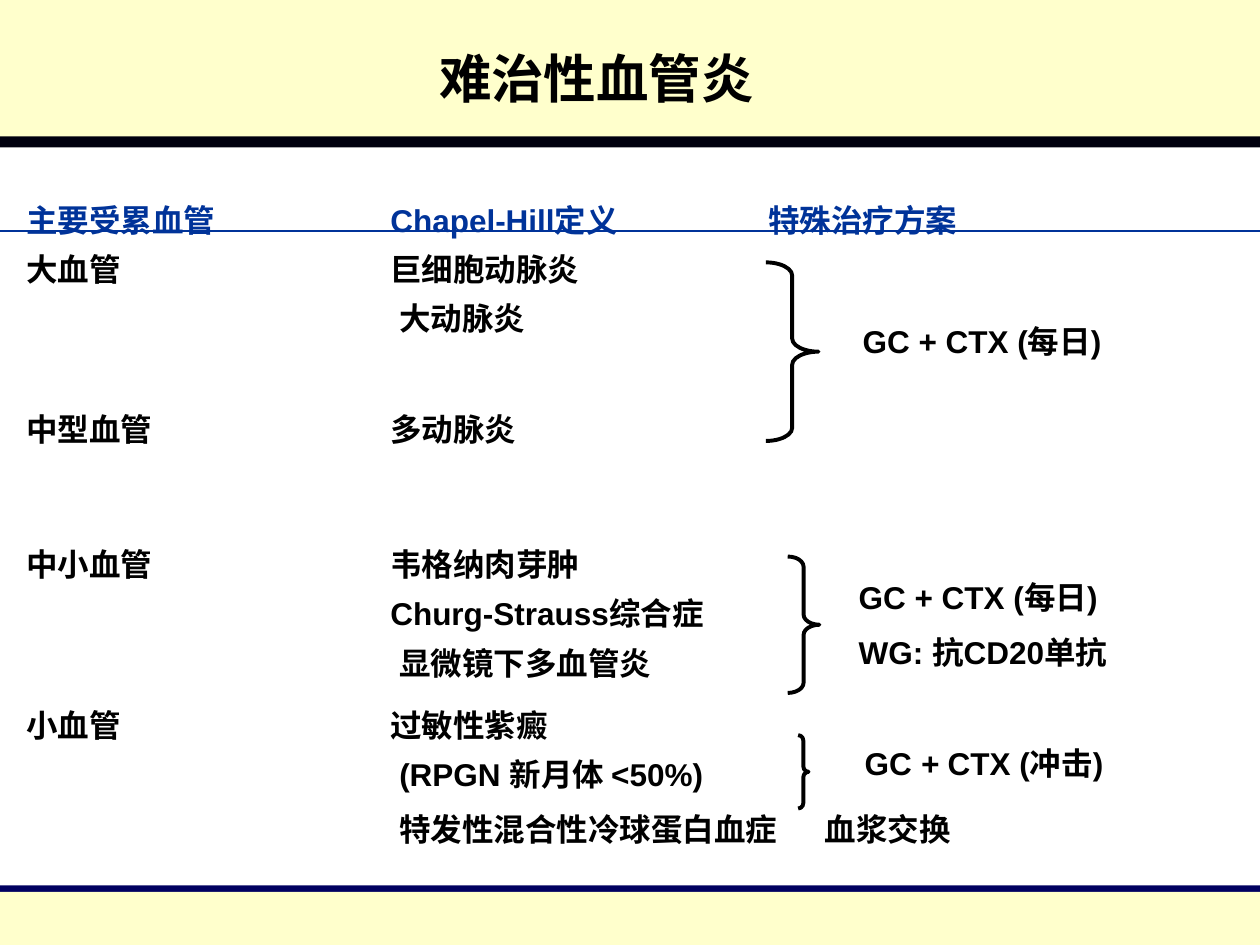
from lxml import etree
from pptx import Presentation
from pptx.dml.color import RGBColor
from pptx.enum.shapes import MSO_CONNECTOR, MSO_SHAPE
from pptx.enum.text import MSO_ANCHOR, PP_ALIGN
from pptx.oxml.ns import qn
from pptx.util import Cm, Pt

RECTANGLE = MSO_SHAPE.RECTANGLE
RIGHT_BRACE = MSO_SHAPE.RIGHT_BRACE
STRAIGHT = MSO_CONNECTOR.STRAIGHT
TOP, MIDDLE = MSO_ANCHOR.TOP, MSO_ANCHOR.MIDDLE
LEFT, CENTER = PP_ALIGN.LEFT, PP_ALIGN.CENTER

BLACK = RGBColor(0x00, 0x00, 0x00)
NAVY = RGBColor(0x00, 0x00, 0x66)
BLUE = RGBColor(0x00, 0x33, 0x99)
CREAM = RGBColor(0xFF, 0xFF, 0xCC)
WHITE = RGBColor(0xFF, 0xFF, 0xFF)


def add_span(para, text, color=BLACK, size=18, italic=False):
    span = para.add_run()
    span.text = text
    span.font.name = "Arial"
    span.font.size = Pt(size)
    span.font.bold = True
    span.font.italic = italic
    span.font.color.rgb = color


def add_band(page, top, height, color):
    band = page.shapes.add_shape(RECTANGLE, 0, Cm(top), Cm(25.4), Cm(height))
    band.shadow.inherit = False
    band.fill.solid()
    band.fill.fore_color.rgb = color
    band.line.fill.background()
    return band


deck = Presentation()
deck.slide_width, deck.slide_height = Cm(25.4), Cm(19.05)
page = deck.slides.add_slide(deck.slide_layouts[5])

backdrop = page.background.fill
backdrop.gradient()
backdrop.gradient_angle = 270
for stop, color, position in zip(backdrop.gradient_stops, (BLACK, NAVY), (0, 1)):
    stop.color.rgb = color
    stop.position = position

add_band(page, 17.98, 1.07, CREAM)
add_band(page, 0, 2.75, CREAM)

title = page.shapes.title
page.shapes._spTree.append(title._element)
title.left, title.top, title.width, title.height = Cm(2.5), Cm(0.95), Cm(19.05), Cm(1.22)
title.text_frame.vertical_anchor = MIDDLE
title.text_frame.paragraphs[0].alignment = CENTER
add_span(title.text_frame.paragraphs[0], "难治性血管炎", size=30)

body = add_band(page, 2.97, 14.88, WHITE).text_frame
body.word_wrap = True
body.vertical_anchor = TOP
body.margin_left, body.margin_top = Cm(0.53), Cm(1.13)
body.margin_right = 0

COLUMN, INDENTED = 7.34, 7.52
rows = [
    ("主要受累血管\tChapel-Hill定义\t特殊治疗方案", COLUMN, 14.96, 0),
    ("大血管\t巨细胞动脉炎", COLUMN, 14.96, 8),
    ("\t大动脉炎", INDENTED, 14.96, 8),
    ("中型血管\t多动脉炎", COLUMN, 14.96, 43.5),
    ("中小血管\t韦格纳肉芽肿", COLUMN, 14.96, 57.5),
    ("\tChurg-Strauss综合症", COLUMN, 14.96, 8),
    ("\t显微镜下多血管炎", INDENTED, 14.96, 8.5),
    ("小血管\t过敏性紫癜", COLUMN, 14.96, 15),
    ("\t(RPGN 新月体 <50%)", INDENTED, 14.96, 8.5),
    ("\t特发性混合性冷球蛋白血症\t血浆交换", INDENTED, 16.1, 11),
]
for index, (text, second, third, gap) in enumerate(rows):
    para = body.add_paragraph() if index else body.paragraphs[0]
    tabs = etree.SubElement(para._p.get_or_add_pPr(), qn("a:tabLst"))
    for stop in (second, third):
        etree.SubElement(tabs, qn("a:tab"), pos=str(Cm(stop)), algn="l")
    para.alignment = LEFT
    para.line_spacing = Pt(20)
    para.space_before = Pt(gap)
    add_span(para, text, color=BLACK if index else BLUE)

braces = [
    (15.44, 5.29, 1.06, 3.6, 0.25),
    (15.88, 11.22, 0.64, 2.75, 0.32),
    (16.09, 14.82, 0.21, 1.48, 0.52),
]
for left, top, width, height, curve in braces:
    brace = page.shapes.add_shape(RIGHT_BRACE, Cm(left), Cm(top), Cm(width), Cm(height))
    brace.adjustments[0] = curve
    brace.shadow.inherit = False
    brace.fill.background()
    brace.line.color.rgb = BLACK
    brace.line.width = Pt(2.25)

rule = page.shapes.add_connector(STRAIGHT, 0, Cm(4.66), Cm(25.4), Cm(4.66))
rule.line.color.rgb = BLUE
rule.line.width = Pt(1.5)
etree.SubElement(rule._element.spPr, qn("a:effectLst"))

labels = [
    (17.14, 6.35, 6.56, 1.02, [["GC + CTX (每日)"]]),
    (17.06, 11.5, 7.54, 2.16, [["GC + CTX (每日)"], ["WG: 抗CD20单抗"]]),
    (17.18, 14.95, 6.2, 0.86, [["GC ", "+ ", "CTX (冲击)"]]),
]
for left, top, width, height, lines in labels:
    box = page.shapes.add_textbox(Cm(left), Cm(top), Cm(width), Cm(height)).text_frame
    box.word_wrap = True
    box.vertical_anchor = MIDDLE
    for index, spans in enumerate(lines):
        para = box.add_paragraph() if index else box.paragraphs[0]
        para.line_spacing = Pt(22)
        para.space_before = Pt(9 if index else 0)
        for text in spans:
            add_span(para, text, italic=text == "+ ")

deck.save("out.pptx")
